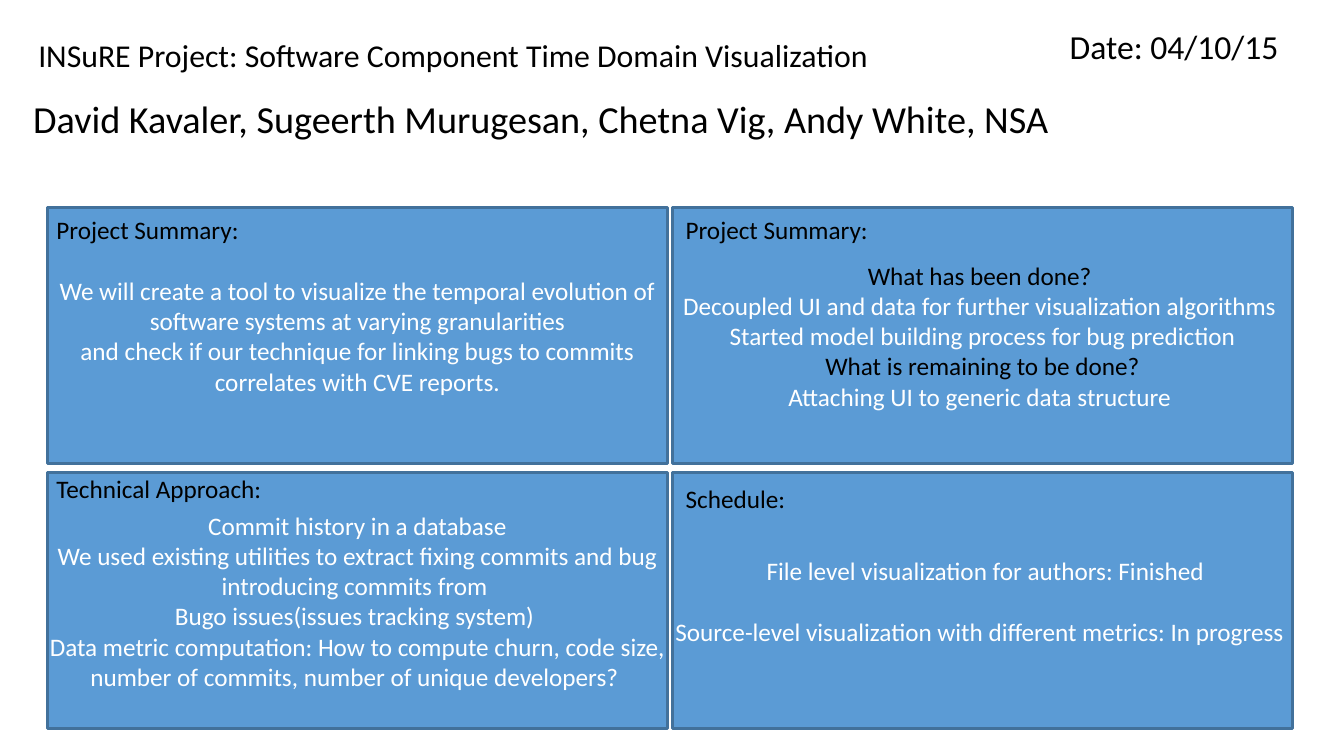
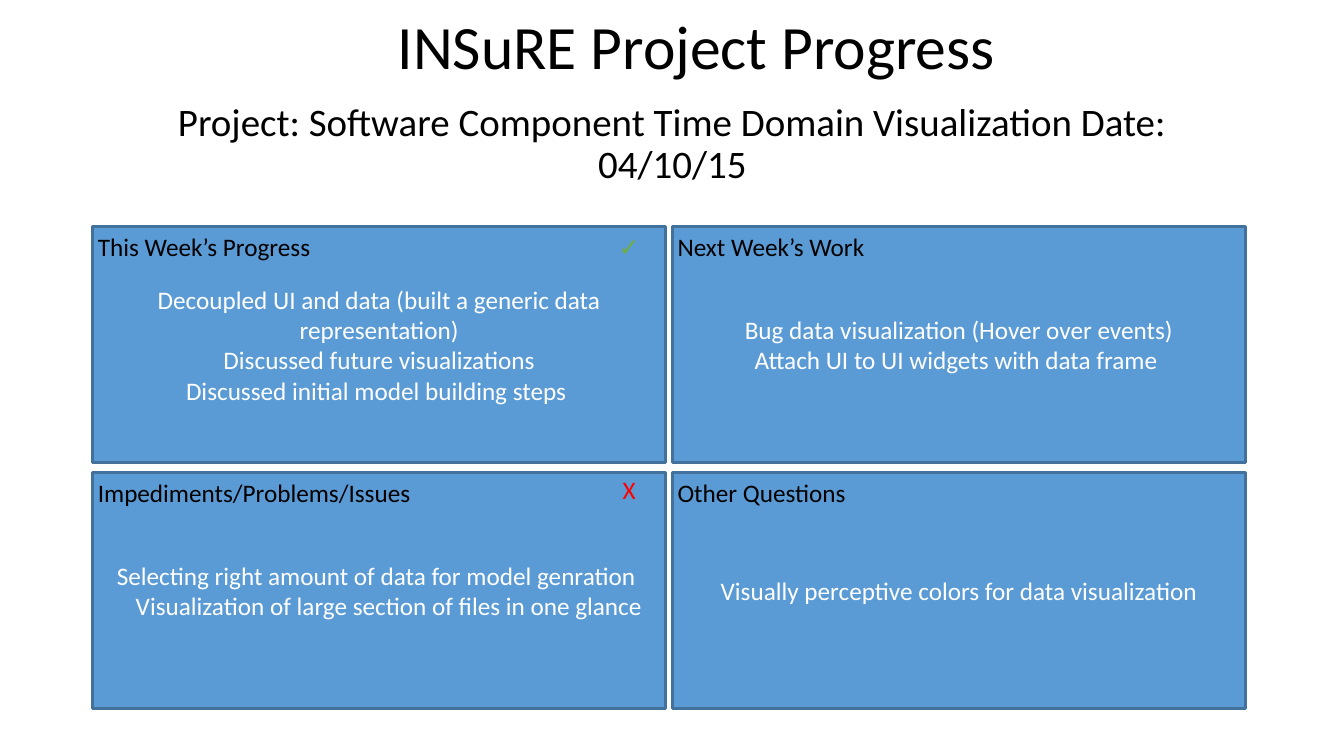
from pptx import Presentation
from pptx.dml.color import RGBColor
from pptx.enum.shapes import MSO_SHAPE
from pptx.enum.text import MSO_ANCHOR, MSO_AUTO_SIZE, PP_ALIGN
from pptx.util import Inches, Pt

COLORS = {
    "card": "5B9BD5",
    "border": "42719B",
    "text": "000000",
    "light": "FFFFFF",
    "done": "70AD47",
    "blocked": "FF0000",
}


class Deck:
    font = "Calibri"
    body_size = 18
    padding = 0.05

    def __init__(self):
        self.presentation = Presentation()
        self.presentation.slide_width = Inches(13.33)
        self.presentation.slide_height = Inches(7.5)
        self.slide = None

    def add_slide(self):
        layout = self.presentation.slide_layouts[6]
        self.slide = self.presentation.slides.add_slide(layout)

    def color(self, name):
        return RGBColor.from_string(COLORS[name])

    def set_frame(self, shape, padding, anchor):
        frame = shape.text_frame
        frame.word_wrap = True
        frame.vertical_anchor = anchor
        frame.margin_left = frame.margin_right = Inches(padding)
        frame.margin_top = frame.margin_bottom = Inches(padding)
        return frame

    def add_text(self, paragraph, text, size, color, align):
        paragraph.alignment = align
        run = paragraph.add_run()
        run.text = text
        run.font.name = self.font
        run.font.size = Pt(size)
        run.font.color.rgb = self.color(color)

    def text_box(self, box, text, size, color="text", align=PP_ALIGN.LEFT,
                 padding=padding, anchor=MSO_ANCHOR.TOP):
        shape = self.slide.shapes.add_textbox(*map(Inches, box))
        frame = self.set_frame(shape, padding, anchor)
        self.add_text(frame.paragraphs[0], text, size, color, align)
        return frame

    def title(self, box, text, size, align=PP_ALIGN.LEFT, padding=padding):
        frame = self.text_box(box, text, size, align=align, padding=padding,
                              anchor=MSO_ANCHOR.MIDDLE)
        frame.paragraphs[0].line_spacing = 0.9

    def label(self, box, text, size=body_size, **style):
        frame = self.text_box(box, text, size, **style)
        frame.auto_size = MSO_AUTO_SIZE.SHAPE_TO_FIT_TEXT

    def card(self, box, lines):
        shape = self.slide.shapes.add_shape(MSO_SHAPE.RECTANGLE, *map(Inches, box))
        shape.shadow.inherit = False
        shape.fill.solid()
        shape.fill.fore_color.rgb = self.color("card")
        shape.line.color.rgb = self.color("border")
        shape.line.width = Pt(2)
        frame = self.set_frame(shape, 0, MSO_ANCHOR.MIDDLE)
        for index, (text, style) in enumerate(lines):
            paragraph = frame.add_paragraph() if index else frame.paragraphs[0]
            self.add_text(paragraph, text, self.body_size,
                          style.get("color", "light"), PP_ALIGN.CENTER)
            paragraph.space_before = Pt(style.get("before", 0))
            if "indent" in style:
                properties = paragraph._p.get_or_add_pPr()
                properties.set("marL", str(Inches(style["indent"])))

    def card_grid(self, origin, size, gap, cards):
        for index, (heading, offset, lines) in enumerate(cards):
            row, column = divmod(index, 2)
            left = origin[0] + column * (size[0] + gap[0])
            top = origin[1] + row * (size[1] + gap[1])
            self.card((left, top, *size), lines)
            self.label((left + offset[0], top + offset[1], 5.68, 0.39), heading)


def build_overview(deck):
    deck.add_slide()
    deck.title((0.33, 0.17, 9.03, 0.8),
               "INSuRE Project: Software Component Time Domain Visualization", 22.7)
    deck.title((0.33, 0.9, 11.5, 0.6),
               "David Kavaler, Sugeerth Murugesan, Chetna Vig, Andy White, NSA",
               27.3, padding=0)
    deck.label((10.56, 0.21, 2.69, 0.5), "Date: 04/10/15", 24)
    deck.card_grid((0.47, 2.06), (6.15, 2.54), (0.05, 0.09), [
        ("Project Summary:", (0.04, 0.02), [
            ("We will create a tool to visualize the temporal evolution of "
             "software systems at varying granularities", {}),
            ("and check if our technique for linking bugs to commits "
             "correlates with CVE reports.", {}),
        ]),
        ("Project Summary:", (0.08, 0.02), [
            ("What has been done? ", {"color": "text"}),
            ("Decoupled UI and data for further visualization algorithms ", {}),
            ("Started model building process for bug prediction", {}),
            ("What is remaining to be done?", {"color": "text"}),
            ("Attaching UI to generic data structure ", {}),
        ]),
        ("Technical Approach:", (0.04, -0.04), [
            ("Commit history in a database", {}),
            ("We used existing utilities to extract fixing commits and bug "
             "introducing commits from ", {}),
            ("Bugo issues(issues tracking system) ", {}),
            ("Data metric computation: How to compute churn, code size, "
             "number of commits, number of unique developers? ", {}),
        ]),
        ("Schedule:", (0.08, 0.06), [
            (" File level visualization for authors: Finished", {}),
            ("Source-level visualization with different metrics: In progress ",
             {"before": 22}),
        ]),
    ])


def build_progress(deck):
    deck.add_slide()
    deck.title((1.16, -0.23, 11.5, 1.45), "INSuRE Project Progress", 44,
               align=PP_ALIGN.CENTER)
    deck.title((1.04, 0.96, 11.26, 0.96),
               "Project: Software Component Time Domain Visualization Date: 04/10/15",
               27.8, align=PP_ALIGN.CENTER, padding=0)
    deck.card_grid((0.92, 2.25), (5.68, 2.34), (0.07, 0.1), [
        ("This Week’s Progress", (0, 0), [
            ("Decoupled UI and data (built a generic data representation)", {}),
            ("Discussed future visualizations", {}),
            ("Discussed initial model building steps ", {}),
        ]),
        ("Next Week’s Work", (0, 0), [
            ("Bug data visualization (Hover over events)", {}),
            ("Attach UI to UI widgets with data frame ", {}),
        ]),
        ("Impediments/Problems/Issues", (0, 0), [
            ("Selecting right amount of data for model genration ", {}),
            ("Visualization of large section of files in one glance ",
             {"indent": 0.25}),
        ]),
        ("Other Questions", (0, 0), [
            ("Visually perceptive colors for data visualization", {}),
        ]),
    ])
    for mark, top, color in (("✓", 2.25, "done"), ("X", 4.66, "blocked")):
        deck.label((5.88, top, 0.72, 0.39), mark, color=color,
                   align=PP_ALIGN.CENTER)


def main():
    deck = Deck()
    build_overview(deck)
    build_progress(deck)
    deck.presentation.save("out.pptx")


if __name__ == "__main__":
    main()
